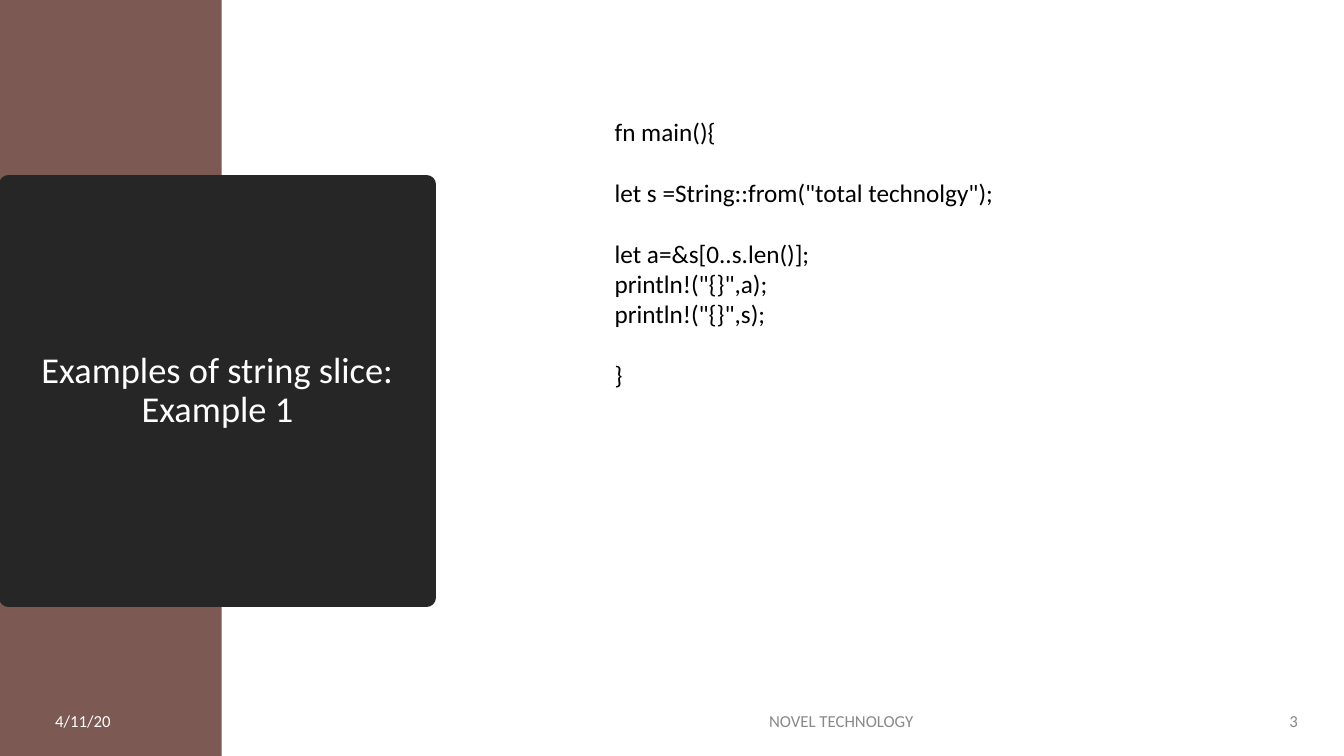
from dataclasses import dataclass

from lxml.etree import SubElement
from pptx import Presentation
from pptx.dml.color import RGBColor
from pptx.enum.shapes import MSO_SHAPE as Shape
from pptx.enum.text import MSO_ANCHOR as Anchor, MSO_AUTO_SIZE as AutoSize, PP_ALIGN as Align
from pptx.oxml.ns import qn
from pptx.shapes.autoshape import Shape as AutoShape
from pptx.slide import Slide
from pptx.util import Emu, Pt

COLS, ROWS = 160, 90
CELL = 76200  # one twelfth of an inch
FONT = "Calibri"
COLORS = {
    "band": "7C5952",
    "card": "262626",
    "white": "FFFFFF",
    "grey": "898989",
    "black": "000000",
}


@dataclass(frozen=True)
class Area:
    """Place on the slide, in grid columns and rows."""
    col: float
    row: float
    cols: float
    rows: float

    def emu(self) -> list[Emu]:
        return [Emu(round(n * CELL)) for n in (self.col, self.row, self.cols, self.rows)]


@dataclass(frozen=True)
class Footer:
    text: str
    col: float
    cols: float
    align: Align
    color: str


@dataclass(frozen=True)
class CodeLine:
    text: str
    gap: bool = False


FOOTERS = [
    Footer("4/11/20", 5.4, 19.4, Align.LEFT, "white"),
    Footer("NOVEL TECHNOLOGY", 54, 92.3, Align.CENTER, "grey"),
    Footer("3", 148.4, 7.3, Align.RIGHT, "grey"),
]
CODE = [
    CodeLine("fn main(){"),
    CodeLine('let s =String::from("total technolgy");', gap=True),
    CodeLine("let a=&s[0..s.len()];", gap=True),
    CodeLine('println!("{}",a);'),
    CodeLine('println!("{}",s);'),
    CodeLine("}", gap=True),
]


def rgb(name: str) -> RGBColor:
    return RGBColor.from_string(COLORS[name])


def style(p, size: float, color: str, align: Align = Align.LEFT) -> None:
    p.alignment = align
    p.font.name = FONT
    p.font.size = Pt(size)
    p.font.color.rgb = rgb(color)


def add_block(s: Slide, area: Area, color: str) -> AutoShape:
    sp = s.shapes.add_shape(Shape.RECTANGLE, *area.emu())
    sp.shadow.inherit = False
    sp.fill.solid()
    sp.fill.fore_color.rgb = rgb(color)
    sp.line.fill.background()
    return sp


def add_title_card(s: Slide, text: str) -> None:
    """Dark card whose thick, round-joined outline softens the corners."""
    sp = add_block(s, Area(1, 22, 49.8, 49.1), "card")
    sp.line.color.rgb = rgb("card")
    sp.line.width = Pt(13.75)
    SubElement(sp.line._get_or_add_ln(), qn("a:round"))
    tf = sp.text_frame
    tf.word_wrap = True
    tf.vertical_anchor = Anchor.MIDDLE
    p = tf.paragraphs[0]
    p.text = text
    p.line_spacing = 0.9
    style(p, 26, "white", Align.CENTER)


def add_footer(s: Slide, footer: Footer) -> None:
    area = Area(footer.col, 83.4, footer.cols, 4.8)
    tf = s.shapes.add_textbox(*area.emu()).text_frame
    tf.word_wrap = True
    tf.vertical_anchor = Anchor.MIDDLE
    p = tf.paragraphs[0]
    p.text = footer.text
    p.space_after = Pt(6)
    style(p, 12, footer.color, footer.align)


def add_code(s: Slide, lines: list[CodeLine]) -> None:
    tf = s.shapes.add_textbox(*Area(72, 13.2, 48, 37.6).emu()).text_frame
    tf.word_wrap = False
    tf.auto_size = AutoSize.SHAPE_TO_FIT_TEXT
    for i, line in enumerate(lines):
        p = tf.add_paragraph() if i else tf.paragraphs[0]
        p.text = line.text
        if line.gap:
            p.space_before = Pt(22)
        style(p, 18, "black")


def main() -> None:
    prs = Presentation()
    prs.slide_width, prs.slide_height = Emu(COLS * CELL), Emu(ROWS * CELL)
    s = prs.slides.add_slide(prs.slide_layouts[6])
    add_block(s, Area(0, 0, 26.4, ROWS), "band")
    add_title_card(s, "Examples of string slice: Example 1")
    for footer in FOOTERS:
        add_footer(s, footer)
    add_code(s, CODE)
    prs.save("out.pptx")


if __name__ == "__main__":
    main()
